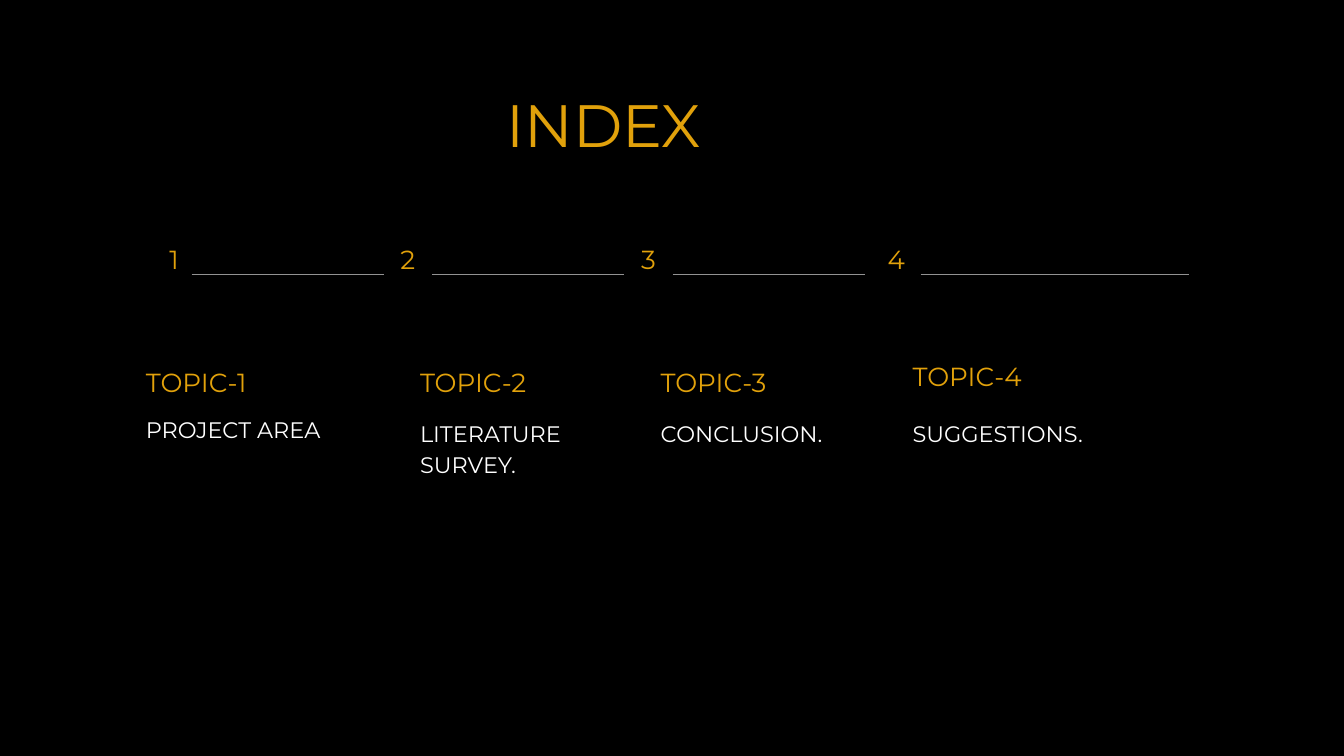
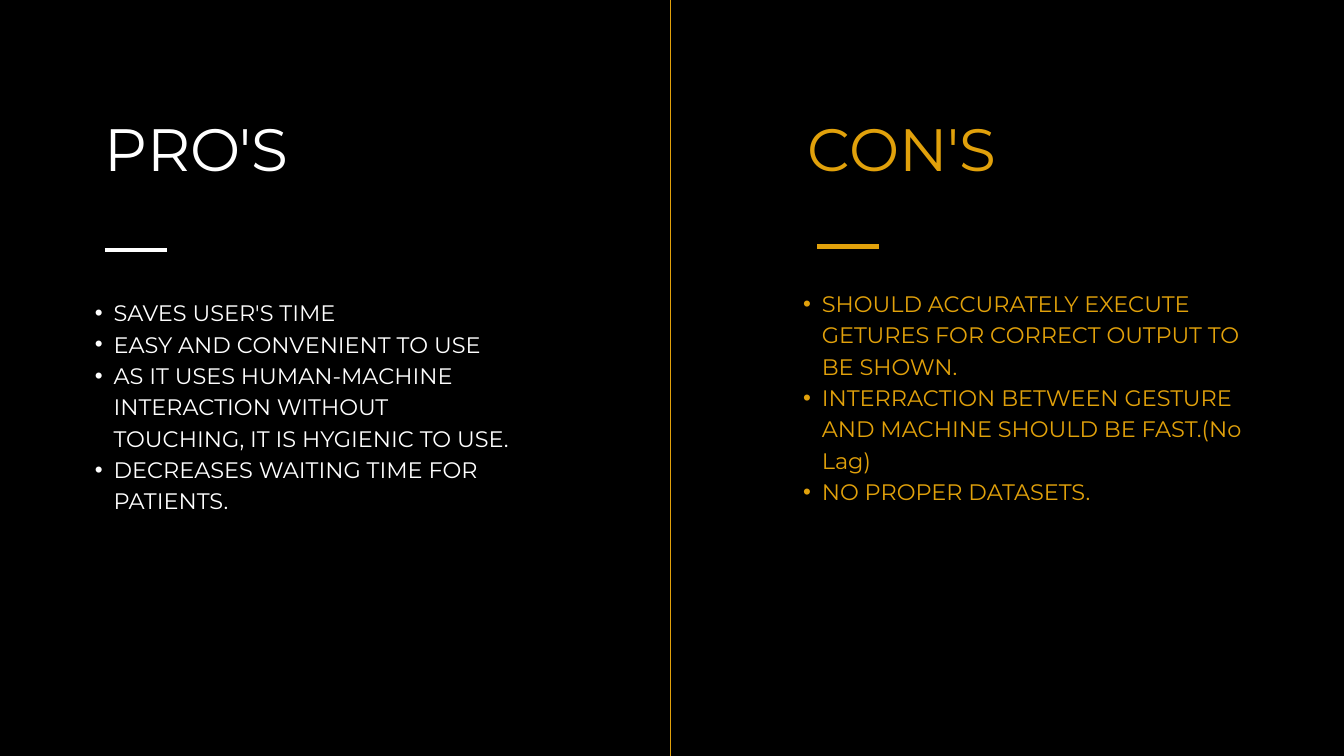
from dataclasses import dataclass

from lxml import etree
from pptx import Presentation
from pptx import util as u
from pptx.dml.color import RGBColor
from pptx.enum import shapes, text
from pptx.oxml import ns
from pptx.slide import Slide


@dataclass(frozen=True)
class TextStyle:
    size: float
    leading: float


@dataclass(frozen=True)
class Theme:
    font: str = "Montserrat"
    background: str = "000000"
    gold: str = "E1A10B"
    white: str = "FFFFFF"
    gray: str = "929292"
    title: TextStyle = TextStyle(64, 76.8)
    heading: TextStyle = TextStyle(28, 39.2)
    body: TextStyle = TextStyle(24, 33.6)


@dataclass(frozen=True)
class Box:
    left: float
    top: float
    width: float
    height: float


@dataclass(frozen=True)
class Topic:
    number: str
    number_left: float
    rule_left: float
    rule_width: float
    heading: str
    heading_top: float
    summary: str
    summary_top: float
    summary_height: float
    left: float
    width: float


@dataclass(frozen=True)
class Argument:
    title: str
    color: str
    title_box: Box
    rule_left: float
    rule_top: float
    points_box: Box
    points: tuple[str, ...]


THEME = Theme()
SLIDE_WIDTH, SLIDE_HEIGHT = 20, 11.25
NUMBER_TOP, NUMBER_RULE_TOP = 3.54, 4.09
ACCENT_WIDTH = 0.92
DIVIDER_LEFT = 9.97
BULLET_MARGIN, BULLET_HANG = 0.57, 0.28

TOPICS = (
    Topic("1", 2.52, 2.85, 2.86, "TOPIC-1", 5.38, "PROJECT AREA", 6.12, 0.42, 2.17, 2.96),
    Topic("2", 5.96, 6.43, 2.86, "TOPIC-2", 5.38, "LITERATURE SURVEY.", 6.18, 0.9, 6.25, 2.69),
    Topic("3", 9.54, 10.01, 2.86, "TOPIC-3", 5.38, "CONCLUSION.", 6.18, 0.42, 9.83, 2.93),
    Topic("4", 13.21, 13.7, 3.99, "TOPIC-4", 5.29, "SUGGESTIONS.", 6.18, 0.42, 13.58, 3.2),
)

ARGUMENTS = (
    Argument(
        "CON'S", THEME.gold, Box(12.01, 1.67, 6.16, 1.06), 12.16, 3.67,
        Box(11.66, 4.25, 6.86, 3.34),
        (
            "SHOULD ACCURATELY EXECUTE GETURES FOR CORRECT OUTPUT TO BE SHOWN.",
            "INTERRACTION BETWEEN GESTURE AND MACHINE SHOULD BE FAST.(No Lag)",
            "NO PROPER DATASETS.",
        ),
    ),
    Argument(
        "PRO'S", THEME.white, Box(1.56, 1.67, 6.14, 1.06), 1.56, 3.72,
        Box(1.12, 4.39, 6.62, 3.3),
        (
            "SAVES USER'S TIME",
            "EASY AND CONVENIENT TO USE",
            "AS IT USES HUMAN-MACHINE INTERACTION WITHOUT TOUCHING, IT IS HYGIENIC TO USE.",
            "DECREASES WAITING TIME FOR PATIENTS.",
        ),
    ),
)


def apply(target: object, values: dict[str, object]) -> None:
    for name, value in values.items():
        setattr(target, name, value)


def add_slide(deck: Presentation) -> Slide:
    slide = deck.slides.add_slide(deck.slide_layouts[6])
    fill = slide.background.fill
    fill.solid()
    fill.fore_color.rgb = RGBColor.from_string(THEME.background)
    return slide


def add_text(slide: Slide, box: Box, lines: tuple[str, ...], style: TextStyle,
             color: str, bulleted: bool = False) -> None:
    edges = (u.Inches(edge) for edge in (box.left, box.top, box.width, box.height))
    frame = slide.shapes.add_textbox(*edges).text_frame
    apply(frame, {
        "margin_left": 0, "margin_top": 0, "margin_right": 0, "margin_bottom": 0,
        "word_wrap": True, "auto_size": text.MSO_AUTO_SIZE.SHAPE_TO_FIT_TEXT,
    })
    for index, line in enumerate(lines):
        paragraph = frame.add_paragraph() if index else frame.paragraphs[0]
        paragraph.line_spacing = u.Pt(style.leading)
        run = paragraph.add_run()
        run.text = line
        apply(run.font, {"name": THEME.font, "size": u.Pt(style.size)})
        run.font.color.rgb = RGBColor.from_string(color)
        if bulleted:
            paragraph.level = 1
            properties = paragraph._p.get_or_add_pPr()
            properties.set("marL", str(u.Inches(BULLET_MARGIN)))
            properties.set("indent", str(-u.Inches(BULLET_HANG)))
            etree.SubElement(properties, ns.qn("a:buFont")).set("typeface", "Arial")
            etree.SubElement(properties, ns.qn("a:buChar")).set("char", "•")


def add_rule(slide: Slide, left: float, top: float, color: str, weight: float,
             width: float = 0, height: float = 0) -> None:
    ends = (u.Inches(end) for end in (left, top, left + width, top + height))
    rule = slide.shapes.add_connector(shapes.MSO_CONNECTOR.STRAIGHT, *ends)
    rule.line.color.rgb = RGBColor.from_string(color)
    rule.line.width = u.Pt(weight)
    etree.SubElement(rule._element.spPr, ns.qn("a:effectLst"))


def add_topic(slide: Slide, topic: Topic) -> None:
    add_text(slide, Box(topic.left, topic.heading_top, topic.width, 0.51),
             (topic.heading,), THEME.heading, THEME.gold)
    add_text(slide, Box(topic.left, topic.summary_top, topic.width, topic.summary_height),
             (topic.summary,), THEME.body, THEME.white)
    add_text(slide, Box(topic.number_left, NUMBER_TOP, 0.46, 0.49),
             (topic.number,), THEME.heading, THEME.gold)
    add_rule(slide, topic.rule_left, NUMBER_RULE_TOP, THEME.gray, 1, width=topic.rule_width)


def add_argument(slide: Slide, argument: Argument) -> None:
    add_text(slide, argument.title_box, (argument.title,), THEME.title, argument.color)
    add_text(slide, argument.points_box, argument.points, THEME.body, argument.color,
             bulleted=True)
    add_rule(slide, argument.rule_left, argument.rule_top, argument.color, 5,
             width=ACCENT_WIDTH)


def build_index(deck: Presentation) -> None:
    slide = add_slide(deck)
    add_text(slide, Box(7.54, 1.31, 11.18, 1.03), ("INDEX",), THEME.title, THEME.gold)
    for topic in TOPICS:
        add_topic(slide, topic)


def build_pros_and_cons(deck: Presentation) -> None:
    slide = add_slide(deck)
    for argument in ARGUMENTS:
        add_argument(slide, argument)
    add_rule(slide, DIVIDER_LEFT, 0, THEME.gold, 0.75, height=SLIDE_HEIGHT)


def main() -> None:
    deck = Presentation()
    apply(deck, {
        "slide_width": u.Inches(SLIDE_WIDTH),
        "slide_height": u.Inches(SLIDE_HEIGHT),
    })
    build_index(deck)
    build_pros_and_cons(deck)
    deck.save("out.pptx")


if __name__ == "__main__":
    main()
